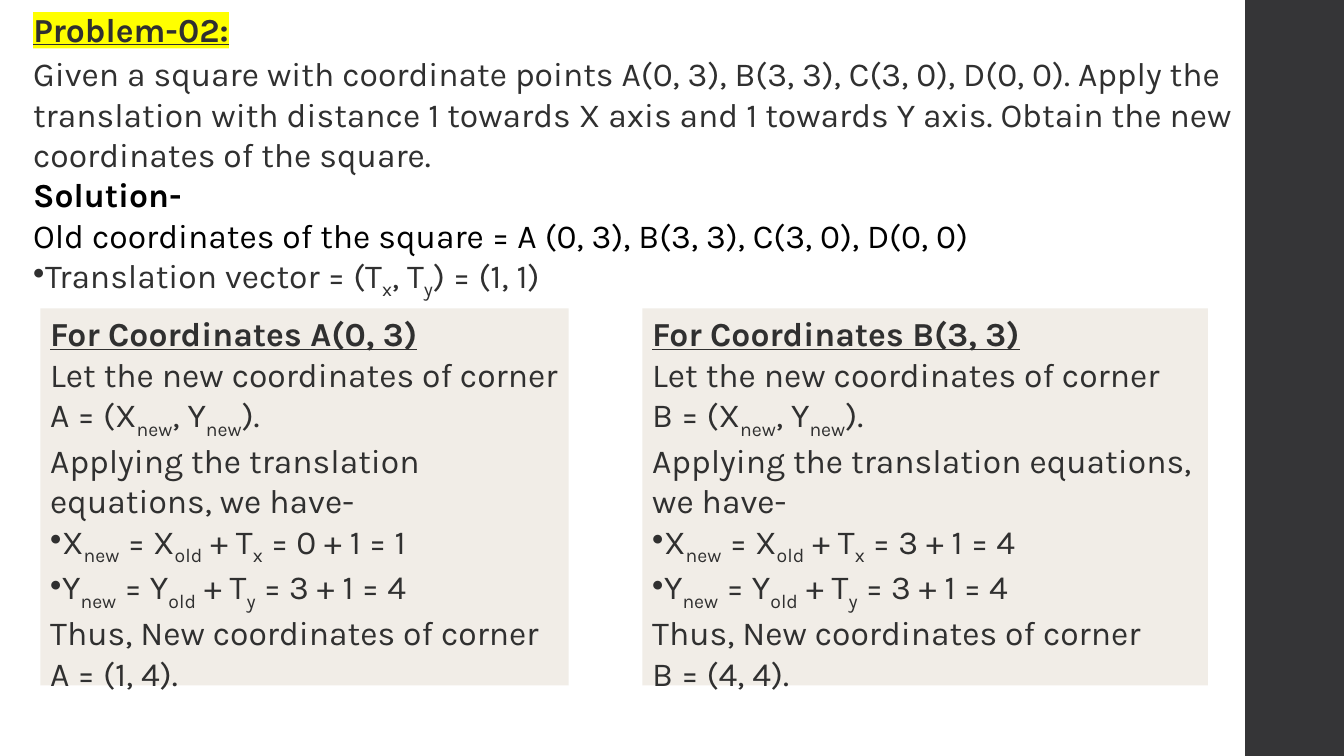
from typing import NamedTuple

from lxml import etree
from pptx import Presentation
from pptx.dml.color import RGBColor
from pptx.enum.shapes import MSO_SHAPE as Shape
from pptx.enum.text import MSO_ANCHOR as Anchor, MSO_AUTO_SIZE as AutoSize, PP_ALIGN as Align
from pptx.oxml.ns import qn
from pptx.util import Inches, Pt

COLOURS = {
    "ink": "303030",
    "black": "000000",
    "white": "FFFFFF",
    "panel": "F1EDE7",
    "band": "353537",
    "marker": "FFFF00",
}


class Line(NamedTuple):
    """One paragraph; text between underscores is subscript."""
    text: str
    colour: str = "ink"
    bold: bool = False
    underline: bool = False
    bullet: bool = False
    highlight: str = ""


class ProblemSlide:
    font_name = "Karla"
    font_size = Pt(24)

    def __init__(self, deck):
        self.slide = deck.slides.add_slide(deck.slide_layouts[5])

    def title(self, line, left, top, width, height):
        heading = self.slide.shapes.title
        heading.left, heading.top = Inches(left), Inches(top)
        heading.width, heading.height = Inches(width), Inches(height)
        self.set_lines(heading, [line])

    def box(self, colour, left, top, width, height, lines=()):
        box = self.slide.shapes.add_shape(
            Shape.RECTANGLE, Inches(left), Inches(top), Inches(width), Inches(height))
        box.shadow.inherit = False
        box.fill.solid()
        box.fill.fore_color.rgb = RGBColor.from_string(COLOURS[colour])
        box.line.fill.background()
        if lines:
            self.set_lines(box, lines)

    def set_lines(self, shape, lines):
        frame = shape.text_frame
        frame.word_wrap = True
        frame.auto_size = AutoSize.NONE
        frame.vertical_anchor = Anchor.TOP
        for number, line in enumerate(lines):
            paragraph = frame.add_paragraph() if number else frame.paragraphs[0]
            paragraph.alignment = Align.LEFT
            if line.bullet:
                bullet = etree.SubElement(paragraph._p.get_or_add_pPr(), qn("a:buChar"))
                bullet.set("char", "•")
            for position, piece in enumerate(line.text.split("_")):
                run = paragraph.add_run()
                run.text = piece
                self.style_run(run, line, subscript=position % 2 == 1)

    def style_run(self, run, line, subscript):
        font = run.font
        font.name, font.size = self.font_name, self.font_size
        font.bold, font.underline = line.bold, line.underline
        font.color.rgb = RGBColor.from_string(COLOURS[line.colour])
        properties = run._r.get_or_add_rPr()
        if subscript:
            properties.set("baseline", "-25000")
        if line.highlight:
            highlight = etree.Element(qn("a:highlight"))
            etree.SubElement(highlight, qn("a:srgbClr")).set("val", COLOURS[line.highlight])
            properties.find(qn("a:solidFill")).addnext(highlight)

    def corner(self, name, x, y, left, width, intro):
        """Panel that moves one corner by (1, 1)."""
        self.box("panel", left, 3.06, width, 3.74, [
            Line(f"For Coordinates {name}({x}, {y})", bold=True, underline=True),
            *map(Line, intro),
            Line("Applying the translation equations, we have-"),
            Line(f"X_new_ = X_old_ + T_x_ = {x} + 1 = {x + 1}", bullet=True),
            Line(f"Y_new_ = Y_old_ + T_y_ = {y} + 1 = {y + 1}", bullet=True),
            Line("Thus, New coordinates of corner"),
            Line(f"{name} = ({x + 1}, {y + 1})."),
        ])


def main():
    deck = Presentation()
    deck.slide_width, deck.slide_height = Inches(13.33), Inches(7.5)
    problem = ProblemSlide(deck)

    # Side band and heading
    problem.box("band", 12.35, 0, 0.98, 7.5)
    problem.title(Line("Problem-02:", bold=True, underline=True, highlight="marker"),
                  0.23, 0.04, 6.67, 0.5)

    # Problem statement and given values
    problem.box("white", 0.23, 0.48, 12.11, 2.52, [
        Line("Given a square with coordinate points A(0, 3), B(3, 3), C(3, 0), D(0, 0). "
             "Apply the translation with distance 1 towards X axis and 1 towards Y axis. "
             "Obtain the new coordinates of the square."),
        Line("Solution-", colour="black", bold=True),
        Line("Old coordinates of the square = A (0, 3), B(3, 3), C(3, 0), D(0, 0)",
             colour="black"),
        Line("Translation vector = (T_x_, T_y_) = (1, 1)", bullet=True),
    ])

    # Worked corners
    problem.corner("A", 0, 3, 0.4, 5.24,
                   ["Let the new coordinates of corner A = (X_new_, Y_new_)."])
    problem.corner("B", 3, 3, 6.37, 5.61,
                   ["Let the new coordinates of corner", "B = (X_new_, Y_new_)."])

    deck.save("out.pptx")


if __name__ == "__main__":
    main()
